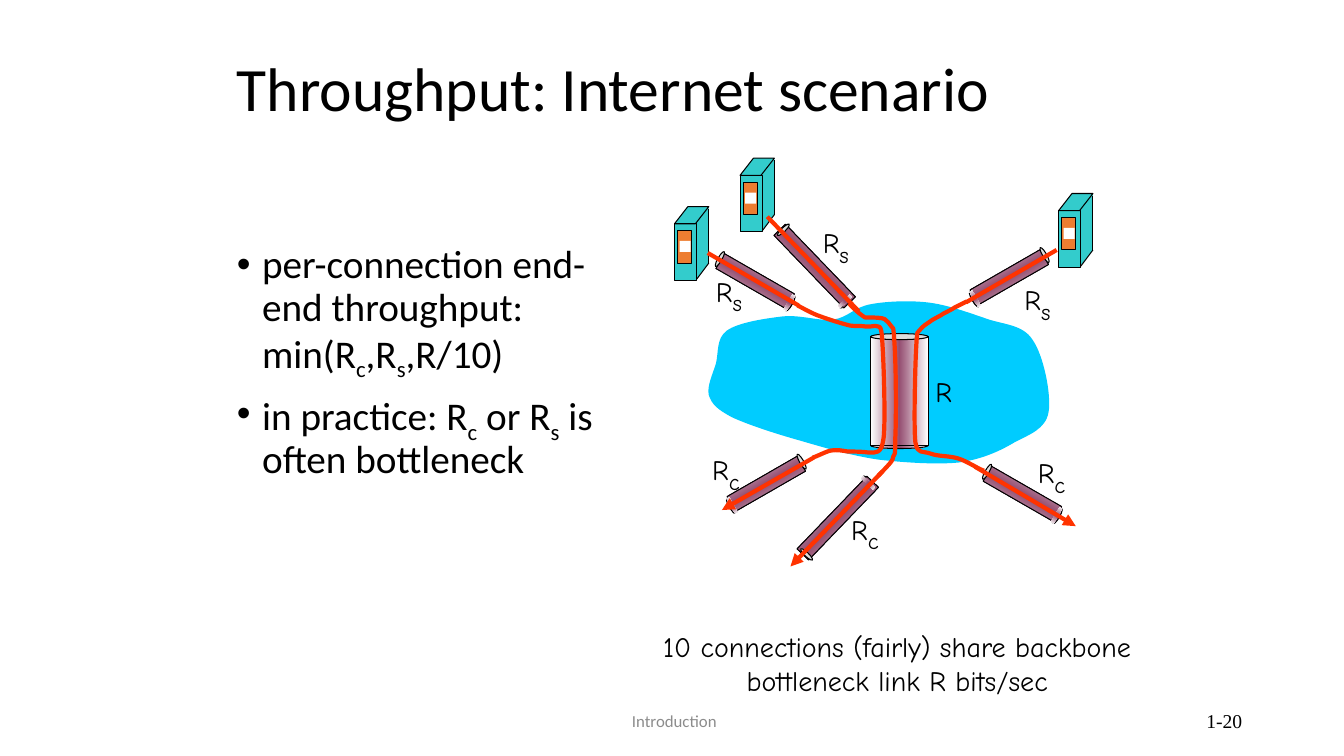
import copy
from typing import NamedTuple

import lxml.etree
import pptx
import pptx.dml.color
import pptx.enum.dml
import pptx.enum.shapes
import pptx.enum.text
import pptx.oxml.ns
import pptx.util

Inches = pptx.util.Inches
SHAPE = pptx.enum.shapes.MSO_SHAPE
ALIGN = pptx.enum.text.PP_ALIGN
ANCHOR = pptx.enum.text.MSO_ANCHOR
FIT = pptx.enum.text.MSO_AUTO_SIZE
qn = pptx.oxml.ns.qn

COLORS = {
    "text": "000000", "footer": "8C8C8C", "outline": "000000", "cloud": "00CCFF",
    "server": "33CCCC", "panel": "ED7D31", "screen": "FFFFFF",
    "pipe_edge": "FFFFFF", "pipe_core": "954F72", "pipe_mouth": "DDDDDD", "flow": "FF3300",
}


class Server(NamedTuple):
    left: float
    top: float


class Pipe(NamedTuple):
    x: float
    y: float
    length: float
    thickness: float
    angle: float
    reach_x: float
    reach_y: float
    cap: float = 0.04


class Flow(NamedTuple):
    start: tuple
    end: tuple
    arrow: bool = False


class Label(NamedTuple):
    text: str
    left: float
    top: float
    height: float = 0.57


SERVERS = [Server(6.69, 2.05), Server(7.34, 1.57), Server(10.5, 1.92)]
PIPES = [
    Pipe(8.92, 3.88, 1.08, 0.57, 90, 0, 0.54, 0.06),
    Pipe(7.49, 2.79, 0.8, 0.17, 29.9, 0.35, 0.22),
    Pipe(8.08, 2.64, 1, 0.16, 46.1, 0.31, 0.36),
    Pipe(7.6, 4.8, 0.8, 0.17, 150.1, -0.35, 0.22),
    Pipe(8.31, 5.14, 1, 0.16, 313.9, 0.31, -0.36),
    Pipe(10.01, 2.75, 0.8, 0.17, 150.1, -0.35, 0.22),
    Pipe(10.14, 4.9, 0.8, 0.17, 29.9, 0.35, 0.22),
]
FLOWS = [
    Flow((7.02, 2.51), (7.92, 3.03)),
    Flow((7.61, 2.15), (8.52, 3.09)),
    Flow((8.07, 4.54), (7.16, 5.06), True),
    Flow((8.75, 4.68), (7.84, 5.62), True),
    Flow((10.48, 2.48), (9.58, 3)),
    Flow((9.67, 4.63), (10.67, 5.22), True),
]
LABELS = [
    Label("R|s", 6.86, 2.56), Label("R|s", 7.92, 2.08), Label("R|s", 9.92, 2.64),
    Label("R|c", 6.83, 4.33), Label("R|c", 8.21, 4.92), Label("R|c", 10.06, 4.36),
    Label("R", 8.99, 3.67, 0.43),
]
CLOUD = [
    8.63, 3.02, 8.47, 3.05, 8.41, 3.15, 8.27, 3.17, 8.12, 3.19, 7.94, 3.12, 7.76, 3.14,
    7.59, 3.16, 7.32, 3.2, 7.21, 3.28, 7.1, 3.36, 7.13, 3.5, 7.1, 3.61,
    7.07, 3.71, 7.01, 3.83, 7.03, 3.92, 7.06, 4.01, 7.11, 4.06, 7.26, 4.14,
    7.41, 4.21, 7.68, 4.3, 7.93, 4.37, 8.17, 4.44, 8.44, 4.52, 8.71, 4.56,
    8.97, 4.59, 9.28, 4.61, 9.5, 4.59, 9.73, 4.56, 9.91, 4.48, 10.06, 4.39,
    10.21, 4.31, 10.37, 4.26, 10.4, 4.09, 10.43, 3.92, 10.35, 3.52, 10.24, 3.37,
    10.14, 3.21, 9.92, 3.22, 9.75, 3.15, 9.57, 3.09, 9.38, 3.02, 9.19, 3,
    9.01, 2.98, 8.78, 2.99, 8.63, 3.02,
]
BACKBONE_FLOWS = [
    [7.91, 3.03, 7.95, 3.05, 8.05, 3.11, 8.14, 3.14, 8.22, 3.17, 8.35, 3.21, 8.43, 3.23,
     8.51, 3.24, 8.54, 3.23, 8.59, 3.24, 8.64, 3.25, 8.73, 3.2, 8.74, 3.28,
     8.76, 3.36, 8.79, 4.25, 8.76, 4.37, 8.74, 4.5, 8.69, 4.49, 8.62, 4.49,
     8.55, 4.48, 8.47, 4.48, 8.41, 4.48, 8.35, 4.47, 8.3, 4.46, 8.24, 4.47,
     8.19, 4.48, 8.1, 4.53, 8.06, 4.54],
    [8.42, 3.01, 8.44, 3.03, 8.5, 3.1, 8.58, 3.15, 8.82, 3.15, 8.77, 3.16, 8.86, 3.26,
     8.89, 3.52, 8.89, 4.14, 8.88, 4.35, 8.88, 4.56, 8.87, 4.49, 8.86, 4.53,
     8.85, 4.56, 8.86, 4.55, 8.84, 4.58, 8.81, 4.62, 8.74, 4.69, 8.71, 4.72],
    [9.59, 2.99, 9.57, 3, 9.51, 3.03, 9.47, 3.05, 9.44, 3.07, 9.4, 3.09, 9.36, 3.11,
     9.32, 3.14, 9.26, 3.16, 9.21, 3.2, 9.17, 3.23, 9.18, 3.21, 9.1, 3.3,
     9.08, 3.38, 9.06, 4.26, 9.08, 4.39, 9.1, 4.51, 9.15, 4.47, 9.23, 4.5,
     9.31, 4.53, 9.42, 4.52, 9.51, 4.55, 9.6, 4.58, 9.7, 4.65, 9.76, 4.67],
]


def rgb(name: str) -> pptx.dml.color.RGBColor:
    return pptx.dml.color.RGBColor.from_string(COLORS[name])


def write(frame, text: str, *, size: float, font: str, color: str = "text",
          align=ALIGN.LEFT, anchor=ANCHOR.TOP, spacing: float = 1.0, fit=FIT.NONE,
          before: float = 0, sub_size: float = 0, hanging: float = 0) -> None:
    frame.word_wrap = True
    frame.auto_size = fit
    frame.vertical_anchor = anchor
    for index, line in enumerate(text.split("\n")):
        paragraph = frame.add_paragraph() if index else frame.paragraphs[0]
        paragraph.alignment = align
        paragraph.line_spacing = spacing
        paragraph.space_before = pptx.util.Pt(before if index else 0)
        if hanging:
            properties = paragraph._p.get_or_add_pPr()
            properties.set("marL", str(Inches(hanging)))
            properties.set("indent", str(-Inches(hanging)))
        for position, part in enumerate(line.split("|")):
            run = paragraph.add_run()
            run.text = part
            run.font.size = pptx.util.Pt(size)
            run.font.name = font
            run.font.color.rgb = rgb(color)
            if position % 2:
                run.font.size = pptx.util.Pt(sub_size or size)
                run._r.get_or_add_rPr().set("baseline", "-25000")


def add_text(slide, box: tuple, text: str, **style) -> None:
    write(slide.shapes.add_textbox(*map(Inches, box)).text_frame, text, **style)


def fill_placeholder(placeholder, box: tuple, text: str, **style) -> None:
    placeholder.left, placeholder.top, placeholder.width, placeholder.height = map(Inches, box)
    write(placeholder.text_frame, text, **style)


def add_preset(slide, preset, box: tuple, color: str, outlined: bool = False, angle: float = 0):
    shape = slide.shapes.add_shape(preset, *map(Inches, box))
    shape.shadow.inherit = False
    shape.rotation = angle
    if color == "pipe":
        shape.fill.gradient()
        shape.fill.gradient_angle = 90
        stop_list = shape._element.spPr.find(".//" + qn("a:gsLst"))
        stop_list.insert(1, copy.deepcopy(stop_list[0]))
        names = ("pipe_edge", "pipe_core", "pipe_edge")
        for stop, offset, name in zip(shape.fill.gradient_stops, (0, 0.5, 1), names):
            stop.position = offset
            stop.color.rgb = rgb(name)
    else:
        shape.fill.solid()
        shape.fill.fore_color.rgb = rgb(color)
    if outlined:
        shape.line.color.rgb = rgb("outline")
        shape.line.width = pptx.util.Pt(0.75)
    else:
        shape.line.fill.background()
    return shape


def add_line(slide, start: tuple, end: tuple, color: str, width: float, arrow: bool = False) -> None:
    line = slide.shapes.add_connector(
        pptx.enum.shapes.MSO_CONNECTOR.STRAIGHT, *map(Inches, start + end))
    line.line.color.rgb = rgb(color)
    line.line.width = pptx.util.Pt(width)
    if arrow:
        lxml.etree.SubElement(line.line._get_or_add_ln(), qn("a:tailEnd"), type="triangle")
    lxml.etree.SubElement(line._element.spPr, qn("a:effectLst"))


def add_curve(slide, numbers: list, closed: bool = False) -> None:
    knots = [(Inches(x), Inches(y)) for x, y in zip(numbers[::2], numbers[1::2])]
    builder = slide.shapes.build_freeform(*knots[0])
    builder.add_line_segments(knots[1:], close=closed)
    curve = builder.convert_to_shape()
    segments = curve._element.spPr.findall(".//" + qn("a:lnTo"))
    for first in range(0, len(segments), 3):
        bezier = lxml.etree.Element(qn("a:cubicBezTo"))
        segments[first].addprevious(bezier)
        for segment in segments[first:first + 3]:
            bezier.append(segment[0])
            segment.getparent().remove(segment)
    curve.shadow.inherit = False
    if closed:
        curve.fill.solid()
        curve.fill.fore_color.rgb = rgb("cloud")
        curve.line.fill.background()
    else:
        curve.fill.background()
        curve.line.color.rgb = rgb("flow")
        curve.line.width = pptx.util.Pt(3)


def add_server(slide, server: Server) -> None:
    x, y = server
    for preset, dx, dy, width, height, color, outlined in (
        (SHAPE.PARALLELOGRAM, 0, 0.56, 0.34, 0.17, "server", False),
        (SHAPE.RECTANGLE, 0.18, 0.01, 0.16, 0.56, "server", False),
        (SHAPE.RECTANGLE, 0, 0.17, 0.22, 0.56, "server", True),
        (SHAPE.PARALLELOGRAM, 0, 0, 0.34, 0.17, "server", True),
        (SHAPE.RECTANGLE, 0.03, 0.24, 0.14, 0.32, "panel", True),
        (SHAPE.RECTANGLE, 0.05, 0.34, 0.11, 0.11, "screen", False),
    ):
        part = add_preset(slide, preset, (x + dx, y + dy, width, height), color, outlined)
        if preset == SHAPE.PARALLELOGRAM:
            part.adjustments[0] = 0.78
    corner = (x + 0.34, y + 0.56)
    add_line(slide, (x + 0.34, y + 0.02), corner, "outline", 0.75)
    add_line(slide, corner, (x + 0.22, y + 0.72), "outline", 0.75)


def add_pipe(slide, pipe: Pipe) -> None:
    for preset, along, width, color, outlined in (
        (SHAPE.OVAL, 1, pipe.cap, "pipe", True),
        (SHAPE.RECTANGLE, 0, pipe.length, "pipe", True),
        (SHAPE.OVAL, -1, pipe.cap, "pipe_mouth", True),
        (SHAPE.RECTANGLE, 0.97, 0.03, "pipe", False),
    ):
        left = pipe.x + along * pipe.reach_x - width / 2
        top = pipe.y + along * pipe.reach_y - pipe.thickness / 2
        add_preset(slide, preset, (left, top, width, pipe.thickness), color, outlined, pipe.angle)


def main() -> None:
    deck = pptx.Presentation()
    deck.slide_width, deck.slide_height = Inches(13.33), Inches(7.5)
    slide = deck.slides.add_slide(deck.slide_layouts[1])
    fill_placeholder(slide.shapes.title, (2.25, 0.28, 8.5, 1.25), "Throughput: Internet scenario",
                     size=44, font="Calibri", anchor=ANCHOR.MIDDLE, spacing=0.9)
    fill_placeholder(slide.placeholders[1], (2.25, 2.38, 4.11, 4.46),
                     "per-connection end-end throughput: min(R|c|,R|s|,R/10)\n"
                     "in practice: R|c| or R|s| is often bottleneck",
                     size=28, font="Calibri", spacing=0.9, before=10, hanging=0.25)
    add_text(slide, (4.42, 6.95, 4.5, 0.4), " Introduction", size=12, font="Calibri",
             color="footer", align=ALIGN.CENTER, anchor=ANCHOR.MIDDLE)
    add_text(slide, (9.42, 6.95, 3, 0.4), "1-20", size=14, font="Times New Roman",
             align=ALIGN.RIGHT, anchor=ANCHOR.MIDDLE)
    add_text(slide, (6.46, 6.2, 4.88, 0.77),
             "10 connections (fairly) share backbone bottleneck link R bits/sec",
             size=20, font="Comic Neue", align=ALIGN.CENTER, fit=FIT.SHAPE_TO_FIT_TEXT)
    add_curve(slide, CLOUD, closed=True)
    for server in SERVERS:
        add_server(slide, server)
    for pipe in PIPES:
        add_pipe(slide, pipe)
    for flow in FLOWS:
        add_line(slide, flow.start, flow.end, "flow", 3, flow.arrow)
    for backbone_flow in BACKBONE_FLOWS:
        add_curve(slide, backbone_flow)
    for label in LABELS:
        add_text(slide, (label.left, label.top, 0.74, label.height), label.text, size=20,
                 font="Comic Neue", align=ALIGN.CENTER, sub_size=28, fit=FIT.SHAPE_TO_FIT_TEXT)
    deck.save("out.pptx")


if __name__ == "__main__":
    main()
